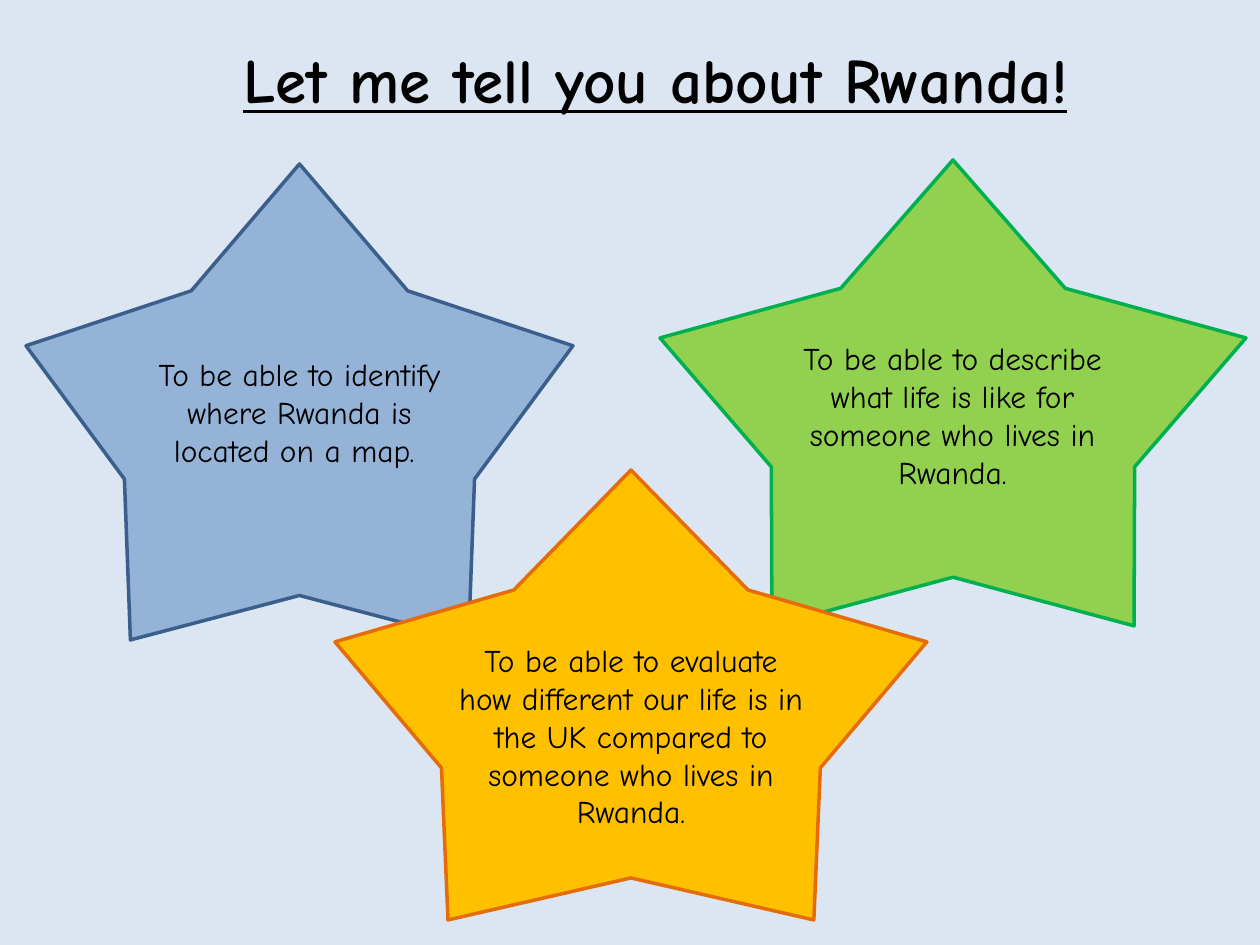
from typing import NamedTuple

from pptx import Presentation
from pptx import util as u
from pptx.dml.color import RGBColor
from pptx.enum import shapes, text

PX = u.Inches(1) / 126
FONT = "Comic Neue"

BLACK = RGBColor(0x00, 0x00, 0x00)
SKY = RGBColor(0xDC, 0xE6, 0xF2)
BLUE = RGBColor(0x95, 0xB3, 0xD7)
NAVY = RGBColor(0x3A, 0x5F, 0x8C)
LIME = RGBColor(0x92, 0xD0, 0x50)
GREEN = RGBColor(0x00, 0xB0, 0x50)
GOLD = RGBColor(0xFF, 0xC0, 0x00)
ORANGE = RGBColor(0xE4, 0x6C, 0x0A)


class Box(NamedTuple):
    left: int
    top: int
    width: int
    height: int

    def emu(self) -> list[int]:
        return [round(side * PX) for side in self]


class Goal(NamedTuple):
    star: Box
    depth: float
    fill: RGBColor
    line: RGBColor
    label: Box
    words: str


GOALS = [
    Goal(Box(26, 164, 547, 476), 0.32, BLUE, NAVY, Box(123, 349, 353, 127),
         "To be able to identify where Rwanda is located on a map. "),
    Goal(Box(660, 160, 586, 466), 0.31, LIME, GREEN, Box(761, 333, 383, 165),
         "To be able to describe what life is like for someone who lives in Rwanda."),
    Goal(Box(335, 470, 592, 450), 0.32, GOLD, ORANGE, Box(445, 635, 372, 204),
         "To be able to evaluate how different our life is in the UK "
         "compared to someone who lives in Rwanda."),
]


def write(frame, words: str, size: int, bold: bool = False) -> None:
    """Fill a text frame with one centred paragraph."""
    frame.text = words
    frame.word_wrap = True
    para = frame.paragraphs[0]
    para.alignment = text.PP_ALIGN.CENTER
    font = para.runs[0].font
    font.name, font.size, font.bold = FONT, u.Pt(size), bold
    font.underline = bold
    font.color.rgb = BLACK


def draw_goal(slide, goal: Goal) -> None:
    """Draw a star with its label on top."""
    star = slide.shapes.add_shape(shapes.MSO_SHAPE.STAR_5_POINT, *goal.star.emu())
    star.shadow.inherit = False
    star.adjustments[0] = goal.depth
    star.fill.solid()
    star.fill.fore_color.rgb = goal.fill
    star.line.color.rgb = goal.line
    star.line.width = u.Pt(2)

    label = slide.shapes.add_textbox(*goal.label.emu())
    write(label.text_frame, goal.words, 18)
    label.text_frame.auto_size = text.MSO_AUTO_SIZE.SHAPE_TO_FIT_TEXT


def main() -> None:
    deck = Presentation()
    deck.slide_width, deck.slide_height = u.Inches(10), u.Inches(7.5)
    slide = deck.slides.add_slide(deck.slide_layouts.get_by_name("Title Only"))

    # Background
    slide.background.fill.solid()
    slide.background.fill.fore_color.rgb = SKY

    # Title
    title = slide.shapes.title
    title.left, title.top, title.width, title.height = Box(120, -23, 1071, 203).emu()
    write(title.text_frame, "Let me tell you about Rwanda!", 36, bold=True)
    title.text_frame.vertical_anchor = text.MSO_ANCHOR.MIDDLE

    # Learning goals
    for goal in GOALS:
        draw_goal(slide, goal)

    deck.save("out.pptx")


if __name__ == "__main__":
    main()
